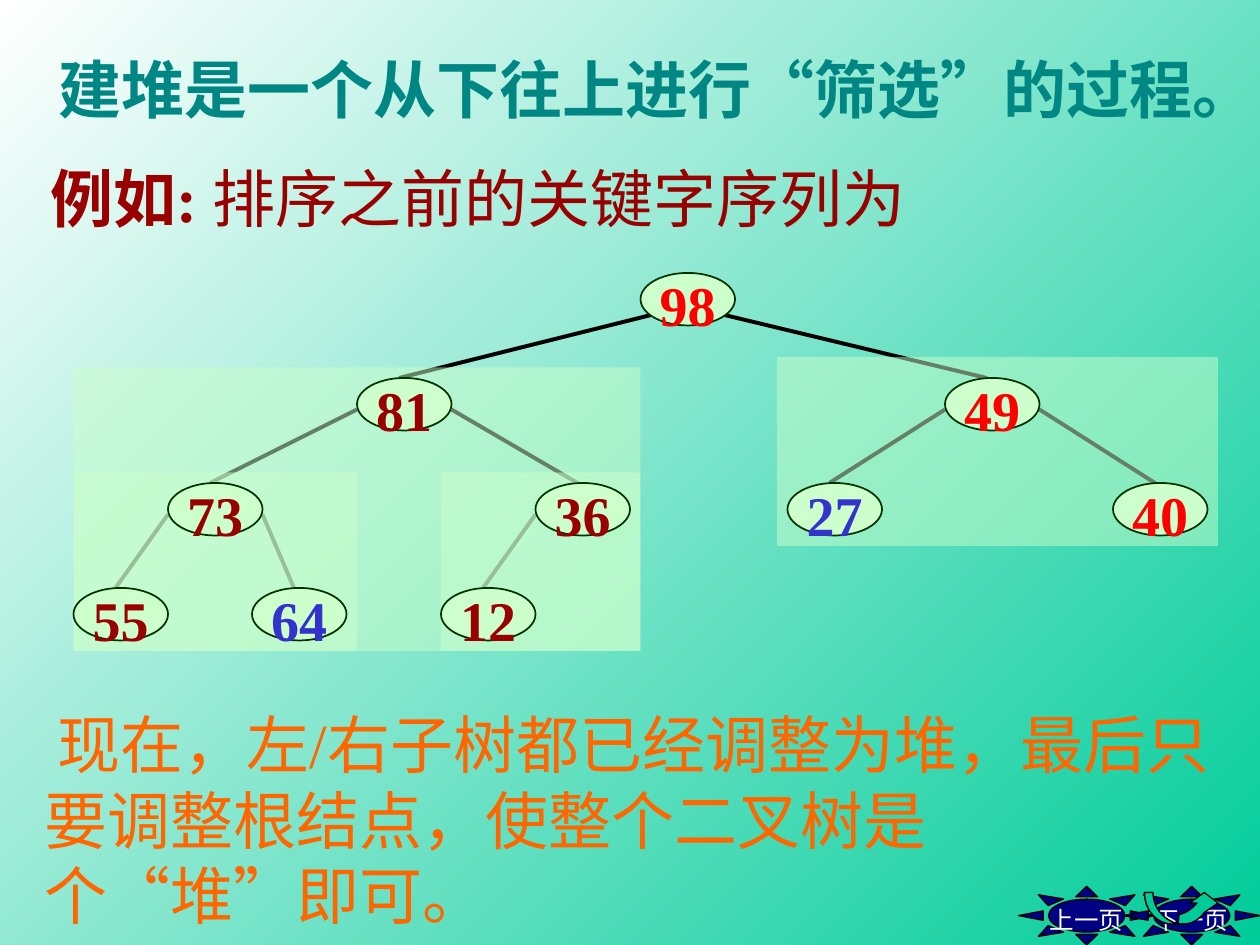
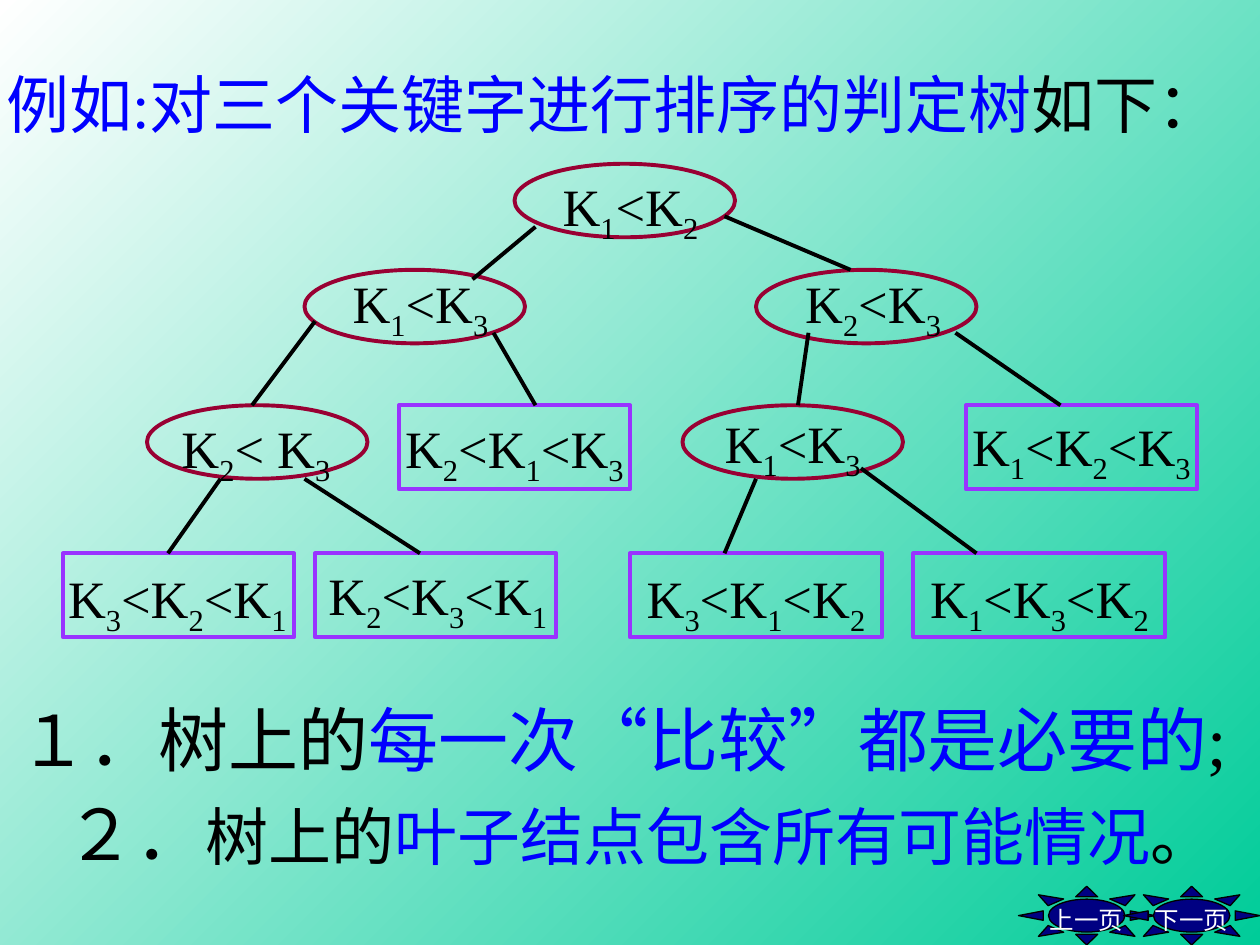
from itertools import groupby

from lxml.etree import SubElement as Sub
from pptx import Presentation
from pptx.dml.color import RGBColor as Rgb
from pptx.enum.shapes import MSO_CONNECTOR as Link, MSO_SHAPE as Form
from pptx.enum.text import MSO_ANCHOR as Anchor, MSO_AUTO_SIZE as Fit, PP_ALIGN as Align
from pptx.oxml.ns import qn
from pptx.util import Inches, Pt

COLS, ROWS = 120, 90
CELL = Inches(10) // COLS
LATIN, HAN = "Times New Roman", "Noto Sans CJK SC"
BLACK, WHITE, BLUE, RED = "000000", "FFFFFF", "0000FF", "FF0000"
TEAL, JADE, NAVY, ORANGE = "008784", "00CC99", "000082", "FF6600"
MAROON, INDIGO, MINT, MOSS = "990000", "3333CC", "CCFFCC", "003300"
WINE, VIOLET = "990033", "9933FF"


def grid(*cells):
    return [round(cell * CELL) for cell in cells]


def paint(part, code):
    part.rgb = Rgb.from_string(code)


def write(shape, *lines, size=36, tint=BLACK, bold=False, align=Align.LEFT,
          anchor=Anchor.TOP, wrap=False, pad=(0.1, 0.1, 0.1, 0.05),
          han=True, gap=0, marks=(), first=0):
    frame = shape.text_frame
    frame.word_wrap = wrap
    frame.auto_size = Fit.NONE if shape.is_placeholder or anchor == Anchor.MIDDLE else Fit.SHAPE_TO_FIT_TEXT
    frame.vertical_anchor = anchor
    frame.margin_left, frame.margin_top, frame.margin_right, frame.margin_bottom = map(Inches, pad)
    for num, line in enumerate(lines):
        para = frame.paragraphs[0] if num == 0 else frame.add_paragraph()
        props = para._p.get_or_add_pPr()
        props.set("marL", str(Inches(marks[num] if marks else 0)))
        props.set("indent", str(Inches(first)))
        Sub(props, qn("a:buNone"))
        para.alignment = align
        para.space_before = Pt(gap if num else 0)
        if han:
            para.line_spacing = Pt(size * 1.2)
        for words, style in [(line, {})] if isinstance(line, str) else line:
            run = para.add_run()
            run.text = words
            font = run.font
            font.name = LATIN
            font.size = Pt(style.get("size", size))
            font.bold = style.get("bold", bold)
            paint(font.color, style.get("tint", tint))
            if han:
                Sub(font._element, qn("a:ea")).set("typeface", HAN)
            if "base" in style:
                font._element.set("baseline", str(style["base"]))
    return shape


def keys(rule):
    return [("".join(part), {"base": -25000} if low else {})
            for low, part in groupby(rule, str.isdigit)]


class Deck:
    def __init__(self):
        self.file = Presentation()
        self.file.slide_width, self.file.slide_height = grid(COLS, ROWS)
        self.slide = None

    def page(self):
        self.slide = self.file.slides.add_slide(self.file.slide_layouts[1])

    def place(self, slot, box, *lines, **style):
        shape = self.slide.placeholders[slot]
        shape.left, shape.top, shape.width, shape.height = grid(*box)
        return write(shape, *lines, wrap=True, **style)

    def label(self, box, *lines, **style):
        return write(self.slide.shapes.add_textbox(*grid(*box)), *lines, **style)

    def dress(self, shape, fill, edge, width):
        shape.shadow.inherit = False
        if fill:
            shape.fill.solid()
            paint(shape.fill.fore_color, fill)
        else:
            shape.fill.background()
        if edge:
            paint(shape.line.color, edge)
            shape.line.width = Pt(width)
        else:
            shape.line.fill.background()
        return shape

    def form(self, kind, box, fill=None, edge=None, width=1):
        shape = self.slide.shapes.add_shape(kind, *grid(*box))
        return self.dress(shape, fill, edge, width)

    def tag(self, shape, line, **style):
        return write(shape, line, align=Align.CENTER, anchor=Anchor.MIDDLE,
                     pad=(0.1, 0.12, 0.1, 0.05), **style)

    def halo(self, box):
        shape = self.form(Form.RECTANGLE, box, MINT)
        tone = shape._element.spPr.find(".//" + qn("a:srgbClr"))
        Sub(tone, qn("a:alpha")).set("val", "50000")

    def edge(self, *ends):
        line = self.slide.shapes.add_connector(Link.STRAIGHT, *grid(*ends))
        paint(line.line.color, BLACK)
        line.line.width = Pt(2.25)
        Sub(line._element.spPr, qn("a:effectLst"))

    def trace(self, start, *steps):
        spots = [start]
        for step in steps:
            if len(step) == 2:
                spots.append(step)
                continue
            hull = [spots[-1], step[:2], step[2:4], step[4:]]
            for part in range(1, 9):
                t = part / 8
                rate = ((1 - t) ** 3, 3 * t * (1 - t) ** 2, 3 * t * t * (1 - t), t ** 3)
                spots.append(tuple(sum(r * spot[axis] for r, spot in zip(rate, hull))
                                   for axis in (0, 1)))
        pen = self.slide.shapes.build_freeform(*grid(*start), scale=1.0)
        pen.add_line_segments([grid(*spot) for spot in spots[1:]], close=True)
        self.dress(pen.convert_to_shape(), JADE, BLACK, 0.75)

    def frame(self):
        master = self.file.slide_master
        fill = master.background.fill
        fill.gradient()
        fill.gradient_angle = 315
        for stop, code in zip(fill.gradient_stops, (WHITE, JADE)):
            paint(stop.color, code)
        for num, words in enumerate(("上一页", "下一页")):
            sun = self.form(Form.SUN, (97 + 10 * num, 84.4, 13, 5.6), NAVY, BLACK, 0.75)
            sun.adjustments[0] = 0.22
            self.tag(sun, words, size=14, tint=WHITE)
            sun._element.nvSpPr.cNvPr.set("id", str(100 + num))
            master.shapes._spTree.append(sun._element)


def heap(deck):
    deck.place(0, (4.4, 3.6, 115.6, 8.4), "建堆是一个从下往上进行“筛选”的过程。",
               tint=TEAL, bold=True, pad=(0.1, 0.1, 0, 0.05))
    deck.label((3.6, 14, 86.8, 8.4),
               [("例如: ", {"bold": True}), ("排序之前的关键字序列为", {})], tint=MAROON)
    deck.place(1, (3, 66, 115.2, 22.8),
               "现在，左/右子树都已经调整为堆，最后只要调整根结点，使整个二叉树是个“堆”即可。",
               tint=ORANGE, first=0.11)

    nodes = [(98, 61, RED), (81, 34, MAROON), (49, 90, RED), (73, 16, MAROON),
             (36, 51, MAROON), (27, 75, INDIGO), (40, 106, RED), (55, 7, MAROON),
             (64, 24, INDIGO), (12, 42, MAROON)]
    wide, high = 9, 5
    tops = [16 + 10 * num.bit_length() for num in range(1, len(nodes) + 1)]
    for num in range(2, len(nodes) + 1):
        root = num // 2 - 1
        nudge = 0 if root else 1
        left = nodes[root][1]
        start = left + wide - nudge if num % 2 else left + nudge
        deck.edge(start, tops[root] + 3 + nudge, nodes[num - 1][1] + 4, tops[num - 1])
    for box in ((42, 45, 19, 17), (7, 45, 27, 17), (74, 34, 42, 18), (7, 35, 54, 27)):
        deck.halo(box)
    for (key, left, tint), top in zip(nodes, tops):
        oval = deck.form(Form.OVAL, (left, top, wide, high), MINT, MOSS)
        deck.tag(oval, str(key), size=32, tint=tint, bold=True, han=False)

    sweep = (109, 85), (109, 86.7, 110.2, 88, 111.6, 88), (112.7, 88)
    inner = (112.2, 88), (110.9, 87.7, 109.8, 86.5, 109.8, 85)
    deck.trace(*sweep, (113.5, 88, 114.2, 87.6, 114.7, 86.9), (116, 86), (114.7, 85),
               (113.3, 86), (114, 86), (113.5, 86.6, 112.9, 87, 112.3, 87.1), *inner)
    deck.trace(*sweep, *inner)


def choice(deck):
    deck.place(0, (0, 5, 120, 8.4),
               [("例如:对三个关键字进行排序的判定树", {"tint": BLUE}), ("如下：", {})],
               pad=(0.05, 0.1, 0, 0.05))
    one, two, three, four = 15.6, 25.7, 38.6, 52.7
    tests = [("K1<K3", 29, two, 32.4, 24.6), ("K1<K2", 49, one, 52.4, 15.4),
             ("K2<K3", 72, two, 75.5, 24.6), ("K2< K3", 14, three, 16.1, 38.4)]
    leaves = [("K2<K1<K3", 38, three, 22, 37.4, 38.4), ("K1<K2<K3", 92, three, 22, 91.4, 38.2),
              ("K1<K3<K2", 87, four, 24, 87.4, 52.7), ("K3<K1<K2", 60, four, 24, 60.4, 52.7),
              ("K2<K3<K1", 30, four, 23, 30.1, 52.4), ("K3<K2<K1", 6, four, 22, 5.3, 52.7)]
    look = dict(size=30, han=False)
    names = []
    for rule, left, top, *spot in tests:
        deck.form(Form.OVAL, (left, top, 21, 7), None, WINE, 2.25)
        names.append((rule, spot, 16.6 if " " in rule else 15.4))
    oval = deck.form(Form.OVAL, (65, three, 21, 7), None, WINE, 2.25)
    deck.tag(oval, keys("K1<K3"), **look)
    for rule, left, top, wide, *spot in leaves:
        deck.form(Form.RECTANGLE, (left, top, wide, 8), None, VIOLET, 2.25)
        names.append((rule, spot, 23.2))
    for rule, spot, wide in names:
        deck.label((*spot, wide, 8), keys(rule), **look)
    for ends in ((51, 21.6, 45, 26.6), (69, 20.6, 81, two), (30, 30.6, 24, three),
                 (47, 31.7, 51, three), (77, 31.7, 76, three), (91, 31.7, 101, three),
                 (21, 45.6, 16, four), (29, 45.6, 40, four), (72, 45.6, 69, four),
                 (82, 44.6, 93, four)):
        deck.edge(*ends)
    blue, small = {"tint": BLUE}, {"size": 36}
    deck.place(1, (0.6, 65, 119.4, 18.2),
               [("１．树上的", {}), ("每一次“比较”都是必要的", blue), (";", {})],
               [("２．", {}), ("树上的", small),
                ("叶子结点包含所有可能情况", {**blue, **small}), ("。", small)],
               size=40, gap=6, marks=(0, 0.37), pad=(0.1, 0.11, 0, 0.05))


def main():
    deck = Deck()
    deck.page()
    deck.frame()
    heap(deck)
    deck.page()
    choice(deck)
    deck.file.save("out.pptx")


if __name__ == "__main__":
    main()
